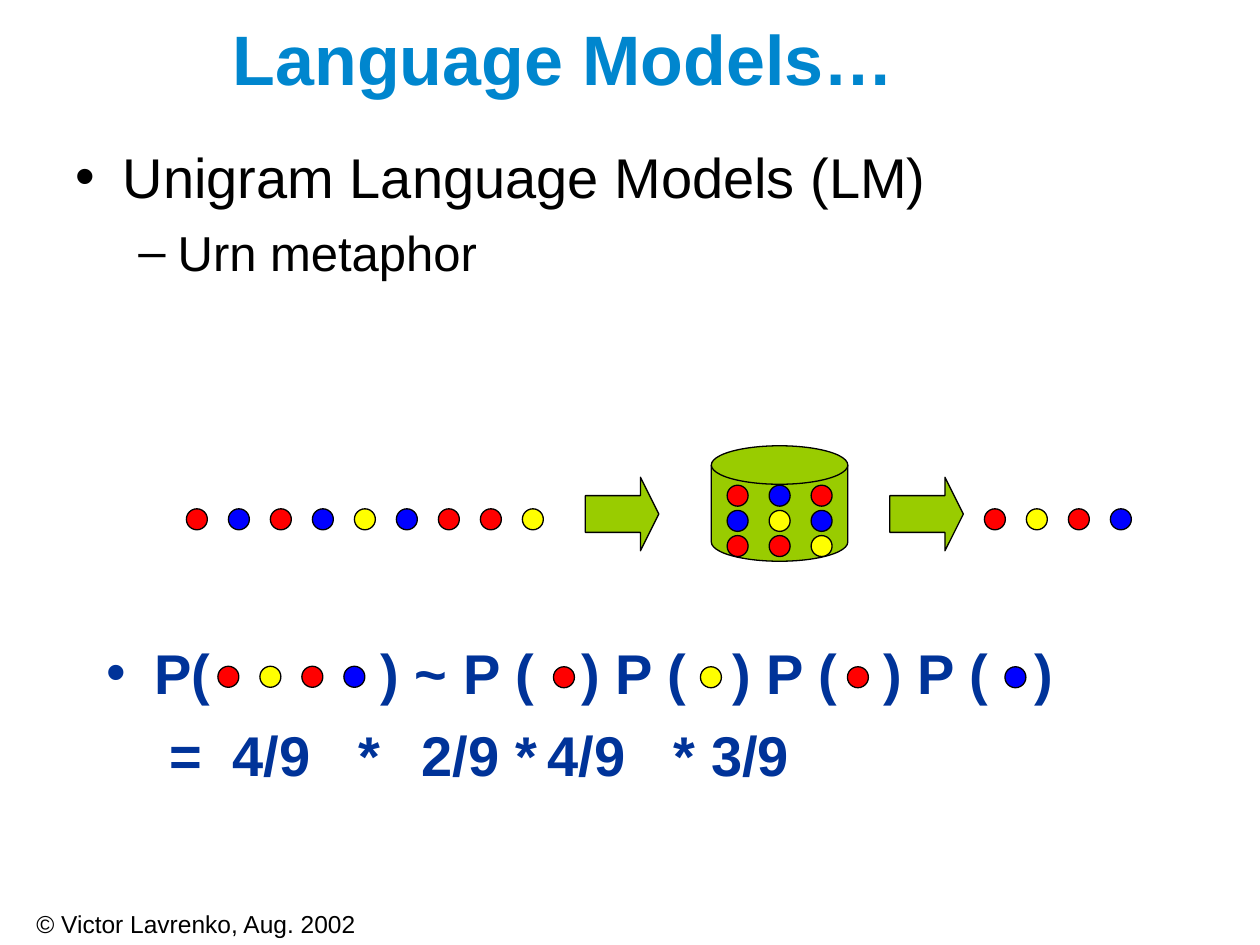
from lxml.etree import SubElement
from pptx import Presentation
from pptx.dml.color import RGBColor
from pptx.enum.shapes import MSO_SHAPE
from pptx.enum.text import MSO_ANCHOR, PP_ALIGN
from pptx.oxml.ns import qn
from pptx.util import Pt

COLORS = {"title": "0086CE", "black": "000000", "formula": "003399", "urn": "99CC00",
          "R": "FF0000", "B": "0000FF", "Y": "FFFF00"}
BALL = 12
STEP = 24

presentation = Presentation()
presentation.slide_width, presentation.slide_height = Pt(720), Pt(540)
slide = presentation.slides.add_slide(presentation.slide_layouts[6])


def add_text(frame, text, size, color="black", bold=False, align=PP_ALIGN.LEFT,
             before=0, margin=0, hanging=0, bullet=None, tabs=()):
    """Write one paragraph, using the empty first one of a new frame."""
    paragraph = frame.paragraphs[0]
    if paragraph.runs:
        paragraph = frame.add_paragraph()
    paragraph.alignment = align
    paragraph.space_before = Pt(before)
    properties = paragraph._p.get_or_add_pPr()
    properties.set("marL", str(Pt(margin)))
    properties.set("indent", str(Pt(-hanging)))
    if bullet:
        bullet_color = SubElement(properties, qn("a:buClr"))
        SubElement(bullet_color, qn("a:srgbClr"), val=COLORS[color])
        SubElement(properties, qn("a:buFont"), typeface="Arial")
        SubElement(properties, qn("a:buChar"), char=bullet)
    if tabs:
        tab_list = SubElement(properties, qn("a:tabLst"))
        for position in tabs:
            SubElement(tab_list, qn("a:tab"), pos=str(Pt(position)), algn="l")
    run = paragraph.add_run()
    run.text = text
    run.font.name, run.font.size, run.font.bold = "Arial", Pt(size), bold
    run.font.color.rgb = RGBColor.from_string(COLORS[color])


def add_figure(kind, left, top, width, height, color):
    """Draw a filled shape with a thin black outline."""
    shape = slide.shapes.add_shape(kind, Pt(left), Pt(top), Pt(width), Pt(height))
    shape.shadow.inherit = False
    shape.fill.solid()
    shape.fill.fore_color.rgb = RGBColor.from_string(COLORS[color])
    shape.line.color.rgb = RGBColor.from_string(COLORS["black"])
    shape.line.width = Pt(0.75)
    return shape


# Text boxes
frames = {}
for name, left, top, width, height in [
    ("title", 126, 0, 558, 66),
    ("body", 36, 78, 648, 404.5),
    ("formula", 54, 361.5, 612, 132),
    ("credit", 13, 515.75, 198, 24.25),
]:
    box = slide.shapes.add_textbox(Pt(left), Pt(top), Pt(width), Pt(height))
    frames[name] = box.text_frame
    frames[name].word_wrap = name != "credit"

# Title, outline and credit
frames["title"].vertical_anchor = MSO_ANCHOR.MIDDLE
add_text(frames["title"], "Language Models…", 40, color="title", bold=True)
add_text(frames["body"], "Unigram Language Models (LM)", 32,
         margin=27, hanging=27, bullet="•")
add_text(frames["body"], "Urn metaphor", 28, before=7,
         margin=58.5, hanging=22.5, bullet="–")
add_text(frames["credit"], "© Victor Lavrenko, Aug. 2002", 14, align=PP_ALIGN.CENTER)

# Formula, with tab stops leaving room for the balls
add_text(frames["formula"], "P(\t) ~ P (\t) P (\t) P (\t) P (\t)", 32,
         color="formula", bold=True, margin=27, hanging=27, bullet="•",
         tabs=[156.5] + [271 + 86.3 * gap for gap in range(4)])
add_text(frames["formula"], "\t=\t4/9\t*\t2/9 *\t4/9\t* 3/9", 32,
         color="formula", bold=True, before=8,
         tabs=[206.5, 260.5, 323, 362.5, 446, 508])

# Urn and arrows
add_figure(MSO_SHAPE.FLOWCHART_MAGNETIC_DISK, 406.5, 254.75, 78, 66, "urn")
for left in (334.5, 508.5):
    arrow = add_figure(MSO_SHAPE.RIGHT_ARROW, left, 272.75, 42, 42, "urn")
    arrow.adjustments[0], arrow.adjustments[1] = 0.5, 0.25

# Rows of balls: left, top, colours in order
for left, top, row in [
    (106.5, 290.75, "RBRBYBRRY"),
    (562.5, 290.75, "RYRB"),
    (415.5, 277.25, "RBR"),
    (415.5, 291.65, "BYB"),
    (415.5, 306.05, "RRY"),
    (124.5, 380.75, "RYRB"),
    (316.25, 381, "R"),
    (400.25, 381, "Y"),
    (484.25, 381, "R"),
    (574.25, 381, "B"),
]:
    for index, color in enumerate(row):
        add_figure(MSO_SHAPE.OVAL, left + index * STEP, top, BALL, BALL, color)

presentation.save("out.pptx")
